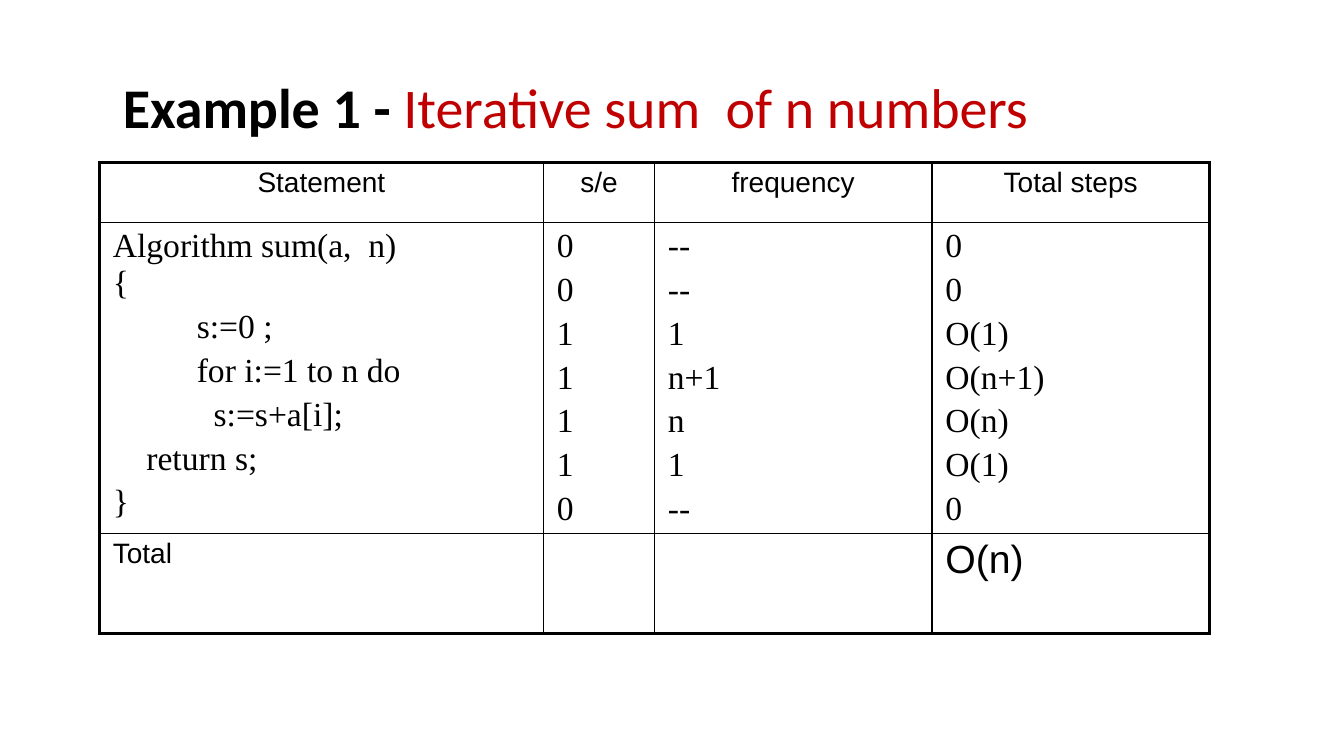
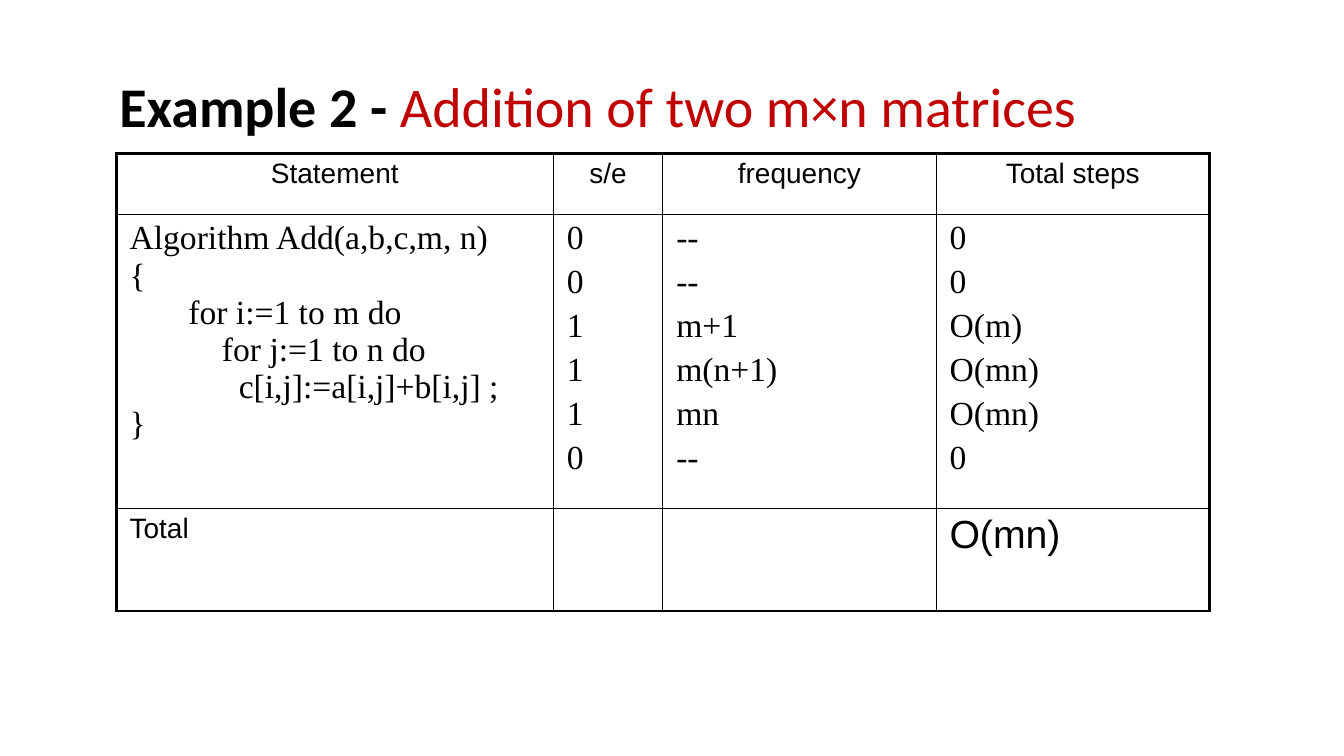
import pptx
import pptx.dml.color
import pptx.enum.text
import pptx.oxml
import pptx.oxml.ns
import pptx.util

Pt = pptx.util.Pt
PP_ALIGN = pptx.enum.text.PP_ALIGN

BLACK, RED = "000000", "C00000"
TITLE_FONT, LABEL_FONT, CODE_FONT = "Calibri", "Arial", "Times New Roman"
HEADERS = ["Statement", "s/e", "frequency", "Total steps"]
COLUMN_SHARES = [8, 2, 5, 5]
CODE_SIZE = 24
SPACE_WIDTH = CODE_SIZE / 4
LINE_GAP = 0.2 * CODE_SIZE
THIN, THICK = 1, 2.25


def rgb(value):
    return pptx.dml.color.RGBColor.from_string(value)


def format_run(r, font, size, color=BLACK, bold=False):
    r.font.name = font
    r.font.size = Pt(size)
    r.font.bold = bold
    r.font.color.rgb = rgb(color)


def add_title(slide, left, top, label, topic):
    sp = slide.shapes.title
    sp.left, sp.top, sp.width, sp.height = Pt(left), Pt(top), Pt(832), Pt(70)
    tf = sp.text_frame
    tf.word_wrap = True
    tf.auto_size = pptx.enum.text.MSO_AUTO_SIZE.NONE
    tf.vertical_anchor = pptx.enum.text.MSO_ANCHOR.MIDDLE
    p = tf.paragraphs[0]
    p.alignment = PP_ALIGN.LEFT
    p.line_spacing = 0.9
    for text, color, bold in ((label + " - ", BLACK, True), (topic, RED, False)):
        r = p.add_run()
        r.text = text
        format_run(r, TITLE_FONT, 40, color, bold)


def set_border(cell, side, width):
    ln = pptx.oxml.parse_xml(
        f'<a:ln{side} {pptx.oxml.ns.nsdecls("a")} w="{Pt(width)}">'
        f'<a:solidFill><a:srgbClr val="{BLACK}"/></a:solidFill></a:ln{side}>'
    )
    cell._tc.get_or_add_tcPr().append(ln)


def style_cells(table):
    last_row, last_col = len(table.rows) - 1, len(table.columns) - 1
    for i, row in enumerate(table.rows):
        for j, cell in enumerate(row.cells):
            outer = {"L": j == 0, "R": j == last_col, "T": i == 0, "B": i == last_row}
            for side, is_outer in outer.items():
                set_border(cell, side, THICK if is_outer else THIN)
            cell.fill.background()
            cell.margin_left = cell.margin_right = Pt(9.6)
            cell.margin_top = cell.margin_bottom = Pt(3.6)


def write_lines(cell, lines, font, size, align=PP_ALIGN.LEFT):
    tf = cell.text_frame
    for i, (indent, gap, text) in enumerate(lines):
        p = tf.paragraphs[0] if i == 0 else tf.add_paragraph()
        p.text = text
        p.alignment = align
        p.space_before = Pt(gap)
        if indent:
            p._p.get_or_add_pPr().set("marL", str(Pt(indent * SPACE_WIDTH)))
        format_run(p.runs[0], font, size)


def write_label(cell, text, size=20, align=PP_ALIGN.LEFT):
    write_lines(cell, [(0, 0, text)], LABEL_FONT, size, align)


def add_step_table(slide, box, heights, code, counts, total):
    frame = slide.shapes.add_table(3, len(HEADERS), *map(Pt, box), Pt(sum(heights)))
    table = frame.table
    table.first_row = table.horz_banding = False
    for column, share in zip(table.columns, COLUMN_SHARES):
        column.width = Pt(box[2] * share / sum(COLUMN_SHARES))
    for row, height in zip(table.rows, heights):
        row.height = Pt(height)
    style_cells(table)
    for j, header in enumerate(HEADERS):
        write_label(table.cell(0, j), header, align=PP_ALIGN.CENTER)
    write_lines(table.cell(1, 0), code, CODE_FONT, CODE_SIZE)
    for j, values in enumerate(counts, 1):
        lines = [(0, LINE_GAP, value) for value in values]
        write_lines(table.cell(1, j), lines, CODE_FONT, CODE_SIZE)
    write_label(table.cell(2, 0), "Total")
    write_label(table.cell(2, 3), total, size=28)


def main():
    prs = pptx.Presentation()
    prs.slide_width, prs.slide_height = Pt(960), Pt(540)
    layout = prs.slide_layouts[5]

    slide = prs.slides.add_slide(layout)
    add_title(slide, 80.5, 44, "Example 1", "Iterative sum  of n numbers")
    add_step_table(
        slide, (71, 116, 793), (43, 222, 71.5),
        [
            (0, 0, "Algorithm sum(a,  n)"),
            (0, 0, "{"),
            (10, LINE_GAP, "s:=0 ;"),
            (10, LINE_GAP, "for i:=1 to n do"),
            (12, LINE_GAP, "s:=s+a[i];"),
            (4, LINE_GAP, "return s;"),
            (0, LINE_GAP, "}"),
        ],
        [
            ["0", "0", "1", "1", "1", "1", "0"],
            ["--", "--", "1", "n+1", "n", "1", "--"],
            ["0", "0", "O(1)", "O(n+1)", "O(n)", "O(1)", "0"],
        ],
        "O(n)",
    )

    slide = prs.slides.add_slide(layout)
    add_title(slide, 78, 43, "Example 2", "Addition of two m×n matrices")
    add_step_table(
        slide, (83, 109.5, 781), (44, 209.5, 73.5),
        [
            (0, 0, "Algorithm Add(a,b,c,m, n)"),
            (0, 0, "{"),
            (7, 0, "for i:=1 to m do"),
            (11, 0, "for j:=1 to n do"),
            (13, 0, "c[i,j]:=a[i,j]+b[i,j] ;"),
            (0, 0, "}"),
        ],
        [
            ["0", "0", "1", "1", "1", "0"],
            ["--", "--", "m+1", "m(n+1)", "mn", "--"],
            ["0", "0", "O(m)", "O(mn)", "O(mn)", "0"],
        ],
        "O(mn)",
    )

    prs.save("out.pptx")


if __name__ == "__main__":
    main()
